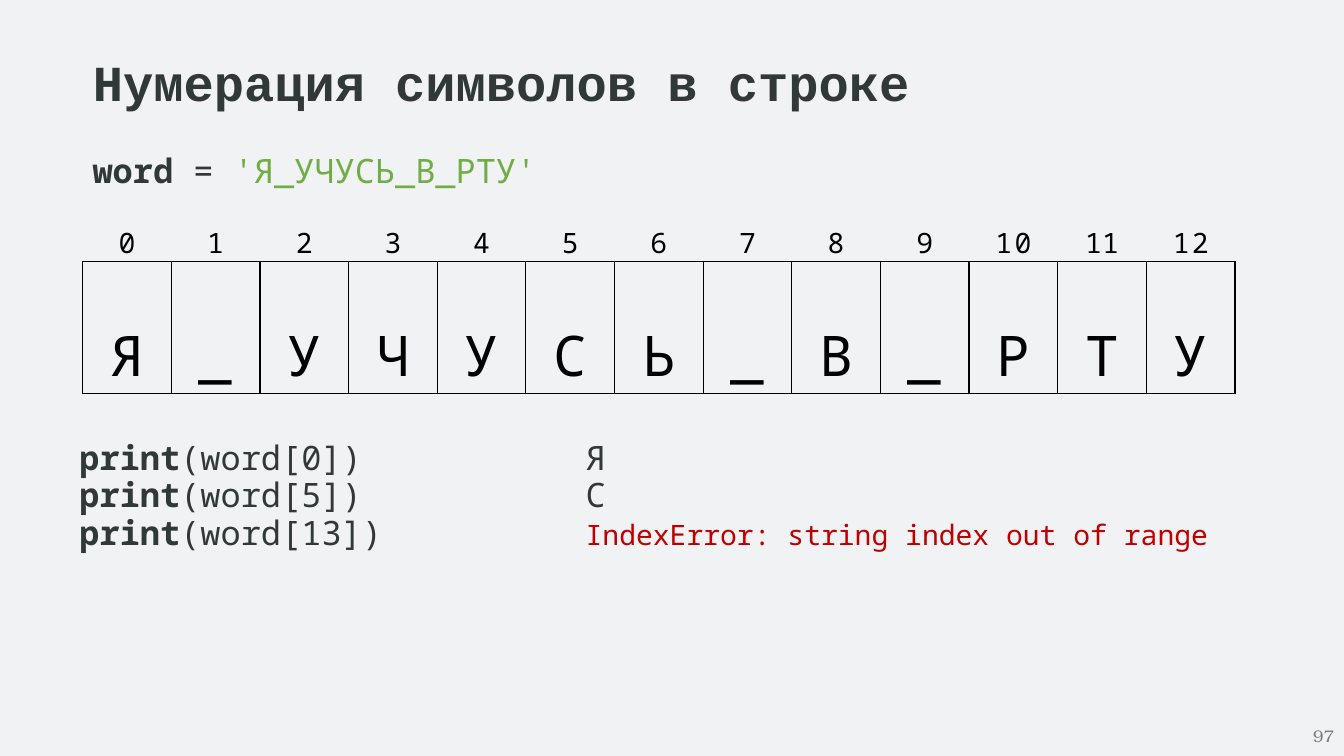
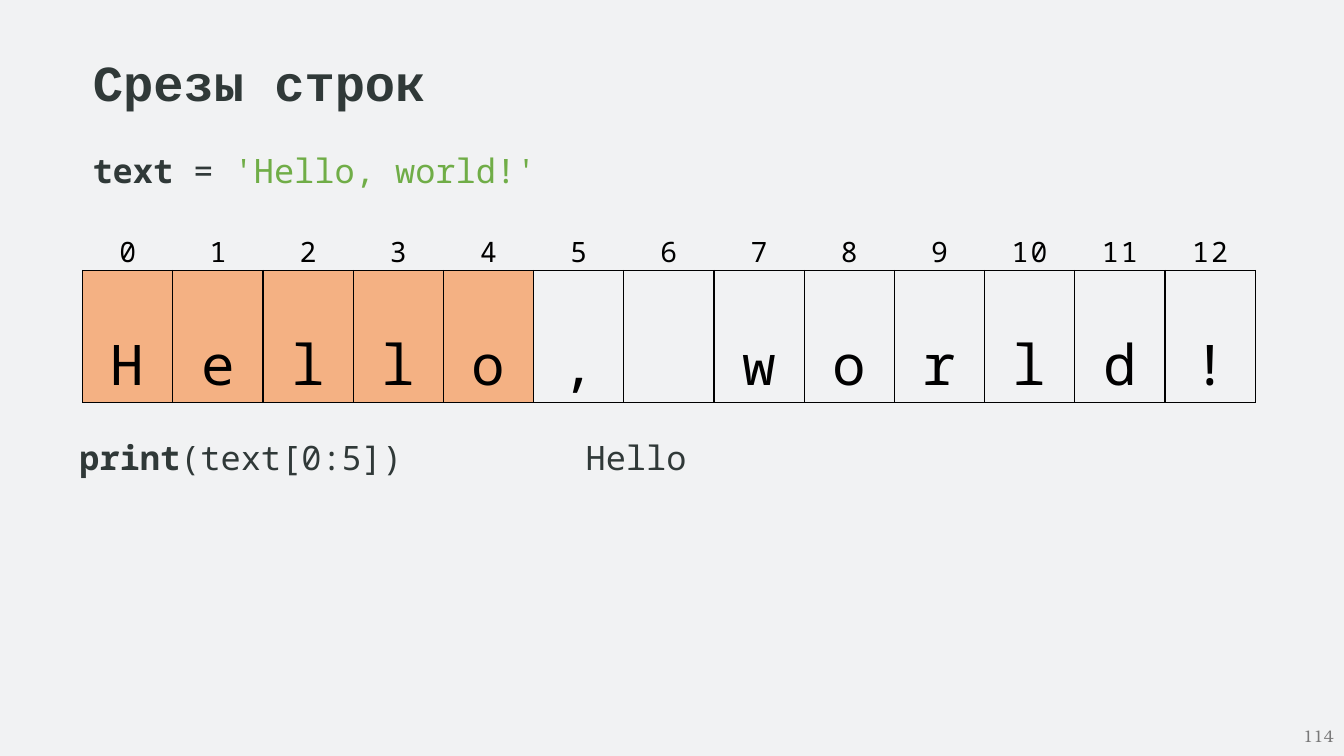
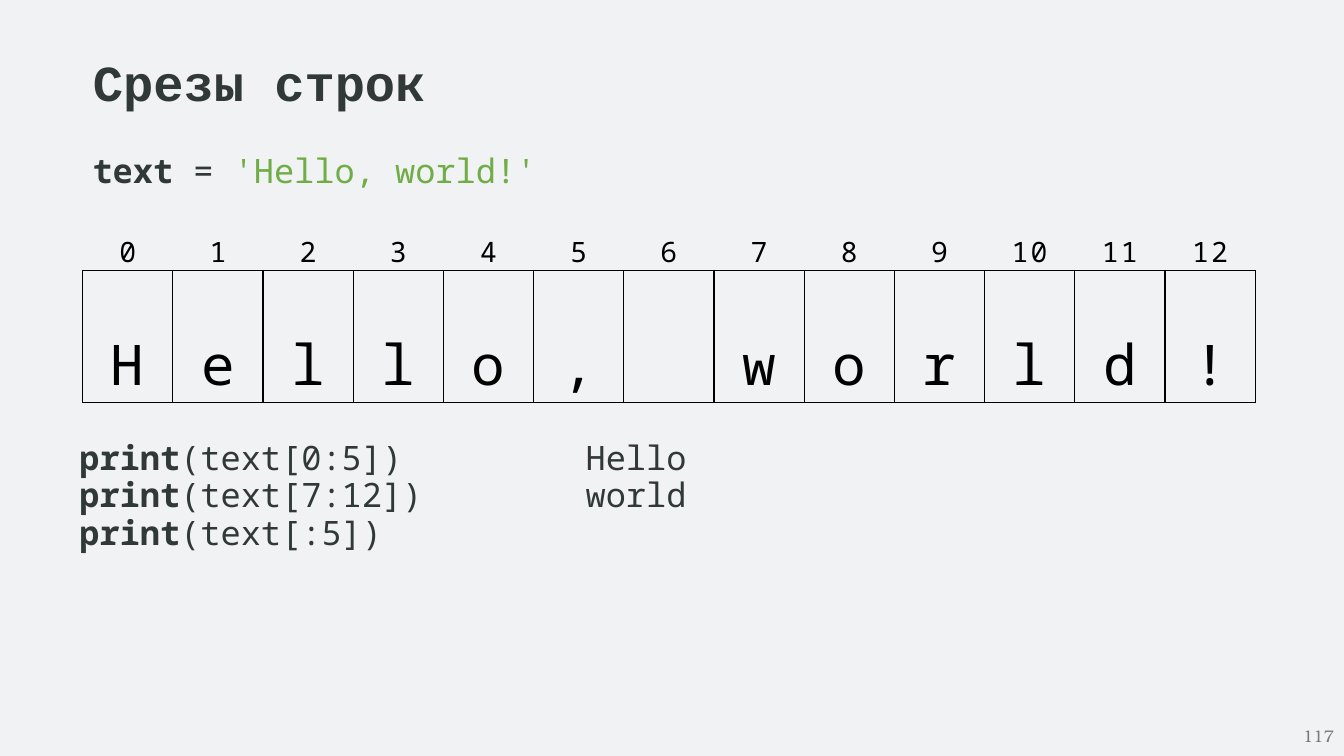
import pptx
import pptx.util
import pptx.dml.color
import pptx.enum.text
import pptx.oxml
import pptx.oxml.ns

Inches = pptx.util.Inches
Pt = pptx.util.Pt
RGB = pptx.dml.color.RGBColor
ALIGN = pptx.enum.text.PP_ALIGN
ANCHOR = pptx.enum.text.MSO_ANCHOR

PAPER = RGB(0xF1, 0xF2, 0xF3)
INK = RGB(0x30, 0x39, 0x38)
BLACK = RGB(0, 0, 0)
GREEN = RGB(0x70, 0xAD, 0x47)
RED = RGB(0xC0, 0, 0)
GREY = RGB(0x79, 0x79, 0x79)
PEACH = RGB(0xF4, 0xB1, 0x83)

HEAD = "Courier New"
MONO = "Noto Sans Mono"
SERIF = "TeX Gyre Bonum"

PLAIN = "{2D5ABB26-0587-4C30-8999-92F81FD0307C}"
ROWS = (0.47, 1.31, 0.36)
WORD = (0.82, 2.12, 11.43)
TEXT = (0.82, 2.21, 11.63)


def write(para, text, size, font=MONO, color=INK, bold=False):
    run = para.add_run()
    run.text = text
    run.font.size = Pt(size)
    run.font.name = font
    run.font.bold = bold
    run.font.color.rgb = color
    return run


def add_box(slide, left, top, width, height):
    box = slide.shapes.add_textbox(*map(Inches, (left, top, width, height)))
    box.text_frame.word_wrap = True
    return box.text_frame


def set_title(slide, text, width):
    title = slide.shapes.title
    title.left, title.top = Inches(0.82), Inches(0.46)
    title.width, title.height = Inches(width), Inches(0.71)
    frame = title.text_frame
    frame.word_wrap = True
    frame.auto_size = pptx.enum.text.MSO_AUTO_SIZE.NONE
    frame.vertical_anchor = ANCHOR.TOP
    para = frame.paragraphs[0]
    para.alignment = ALIGN.LEFT
    write(para, text, 36, HEAD, bold=True)


def add_page(slide, number):
    frame = add_box(slide, 10.33, 7.1, 3, 0.4)
    frame.vertical_anchor = ANCHOR.MIDDLE
    para = frame.paragraphs[0]
    para.alignment = ALIGN.RIGHT
    write(para, str(number), 12, SERIF, GREY)


def set_code(para):
    para.alignment = ALIGN.JUSTIFY
    para.line_spacing = 0.9


def add_value(slide, name, value):
    """Show the line that assigns the string."""
    para = add_box(slide, 0.82, 1.48, 11.94, 0.5).paragraphs[0]
    set_code(para)
    write(para, name, 24, bold=True)
    write(para, " = ", 24)
    write(para, f"'{value}'", 24, color=GREEN)


def add_calls(slide, calls):
    """List print calls, with each result at a tab stop."""
    frame = add_box(slide, 0.69, 4.33, 11.94, 1.76)
    for i, (call, result) in enumerate(calls):
        para = frame.add_paragraph() if i else frame.paragraphs[0]
        set_code(para)
        if i:
            para.space_before = Pt(0.9)
        props = para._p.get_or_add_pPr()
        tabs = pptx.oxml.ns.qn("a:tabLst")
        stop = props.makeelement(pptx.oxml.ns.qn("a:tab"),
                                 {"pos": str(Inches(5.02)), "algn": "l"})
        tabs = props.makeelement(tabs, {})
        tabs.append(stop)
        props.append(tabs)
        write(para, "print", 24, bold=True)
        write(para, f"({call})" + ("\t" if result else ""), 24)
        if "Error" in result:
            write(para, result, 20, color=RED)
        elif result:
            write(para, result, 24)


def set_edges(cell, sides):
    props = cell._tc.get_or_add_tcPr()
    space = pptx.oxml.ns.nsdecls("a")
    for i, side in enumerate(sides):
        props.insert(i, pptx.oxml.parse_xml(
            f'<a:ln{side} {space} w="{Pt(1)}"><a:solidFill>'
            f'<a:srgbClr val="{BLACK}"/></a:solidFill></a:ln{side}>'))


def fill_cell(cell, text, size, pitch):
    para = cell.text_frame.paragraphs[0]
    para.alignment = ALIGN.CENTER
    para.line_spacing = Pt(pitch)
    return write(para, text, size, color=BLACK)


def add_grid(slide, box, value, marked, spaced):
    """Draw indexes above letters; marked letters are tinted."""
    left, top, width = box
    count = len(value)
    frame = slide.shapes.add_table(len(ROWS), count, Inches(left), Inches(top),
                                   Inches(width), Inches(sum(ROWS)))
    grid = frame.table
    grid.first_row = grid.horz_banding = False
    grid._tbl.tblPr.find(pptx.oxml.ns.qn("a:tableStyleId")).text = PLAIN
    for row, height in zip(grid.rows, ROWS):
        row.height = Inches(height)
    for col in grid.columns:
        col.width = Inches(width / count)
    for cell in grid.iter_cells():
        cell.margin_left = cell.margin_right = 0
        cell.margin_top = cell.margin_bottom = 0
        cell.fill.background()
    for i, char in enumerate(value):
        index, letter, foot = (grid.cell(r, i) for r in range(len(ROWS)))
        run = fill_cell(index, str(i), 20, 34.1)
        if i in spaced:
            run.font._element.set("spc", "160")
        if char != " ":
            fill_cell(letter, char, 40, 94)
        if i in marked:
            letter.fill.solid()
            letter.fill.fore_color.rgb = PEACH
        set_edges(index, "B")
        set_edges(letter, "LRTB")
        set_edges(foot, "T")


def add_slide(deck, title, width, name, value, box, calls, page,
              marked=(), spaced=(10, 11, 12)):
    slide = deck.slides.add_slide(deck.slide_layouts[5])
    set_title(slide, title, width)
    add_value(slide, name, value)
    add_grid(slide, box, value, marked, spaced)
    add_calls(slide, calls)
    add_page(slide, page)


def main():
    deck = pptx.Presentation()
    deck.slide_width, deck.slide_height = Inches(13.33), Inches(7.5)
    back = deck.slide_master.background.fill
    back.solid()
    back.fore_color.rgb = PAPER

    add_slide(deck, "Нумерация символов в строке", 8.69,
              "word", "Я_УЧУСЬ_В_РТУ", WORD,
              [("word[0]", "Я"), ("word[5]", "С"),
               ("word[13]", "IndexError: string index out of range")],
              97, spaced=(10, 12))
    cuts = ("Срезы строк", 3.54, "text", "Hello, world!", TEXT)
    calls = [("text[0:5]", "Hello"), ("text[7:12]", "world"), ("text[:5]", "")]
    add_slide(deck, *cuts, calls[:1], 114, marked=range(5))
    add_slide(deck, *cuts, calls, 117)
    deck.save("out.pptx")


if __name__ == "__main__":
    main()
